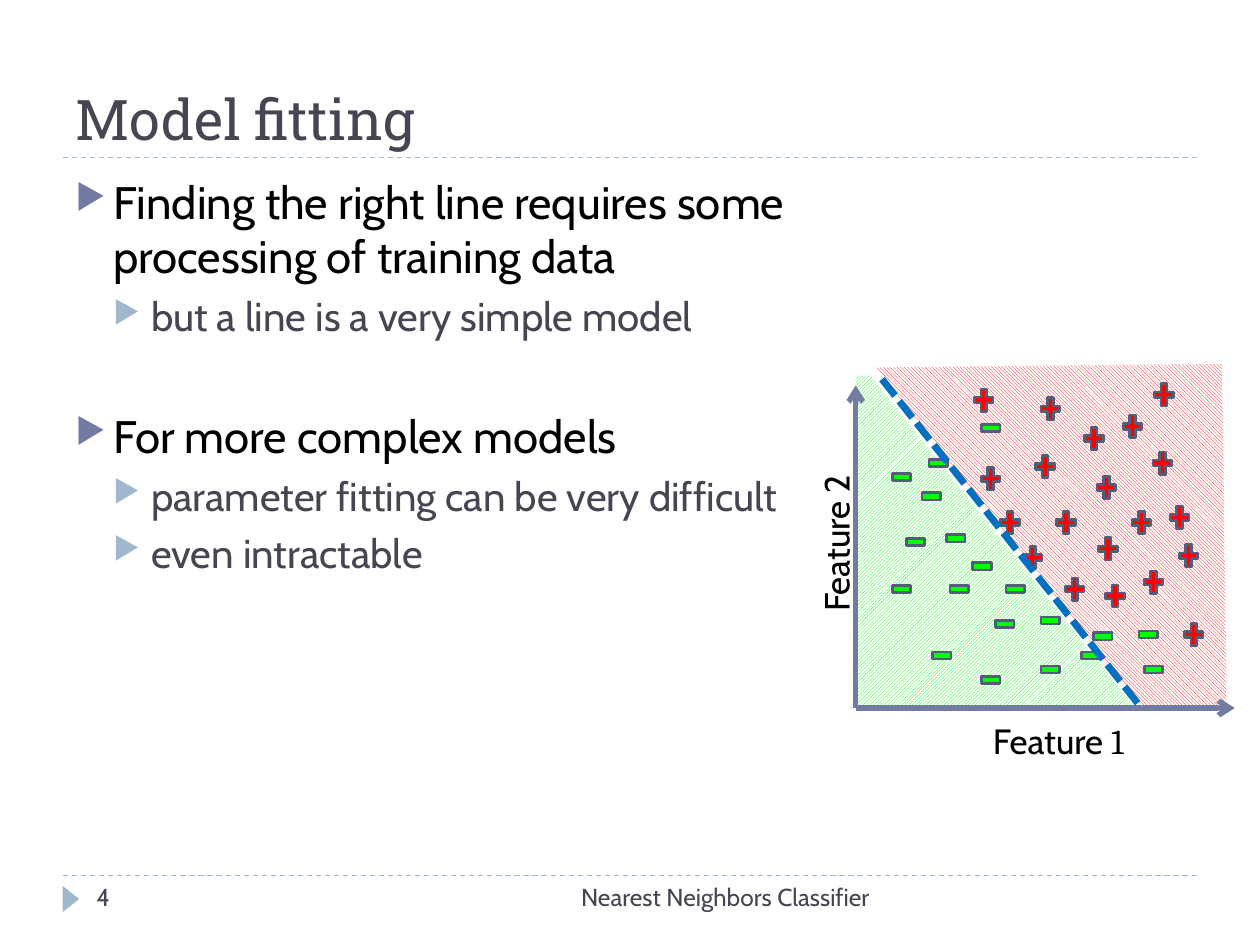
from lxml.etree import SubElement
from pptx import Presentation
from pptx.dml.color import RGBColor
from pptx.enum.dml import MSO_LINE, MSO_PATTERN
from pptx.enum.shapes import MSO_CONNECTOR, MSO_SHAPE
from pptx.enum.text import MSO_ANCHOR, PP_ALIGN
from pptx.oxml.ns import qn
from pptx.util import Pt

THEME = {
    "heading": "Roboto Slab", "body": "Cabin", "digit": "Cambria",
    "ink": "464653", "black": "000000", "white": "FFFFFF",
    "accent": "727CA3", "soft": "9FB8CD", "edge": "545C79",
    "red": "FF0000", "green": "00FF00", "boundary": "0070C0",
    "title": 32, "level0": 26, "level1": 23, "label": 20, "footer": 14,
}
LEVELS = [
    {"size": "level0", "color": "black", "bullet": "accent", "indent": 21.6},
    {"size": "level1", "color": "ink", "bullet": "soft", "indent": 43.2},
]
BULLETS = [
    (0, 6, "Finding the right line requires some processing of training data"),
    (1, 5, "but a line is a very simple model"),
    (0, 39, "For more complex models"),
    (1, 5, "parameter fitting can be very difficult"),
    (1, 5, "even intractable"),
]
LABELS = [
    ((36, 12, 648, 78), 0, PP_ALIGN.LEFT, MSO_ANCHOR.BOTTOM, "title", "ink",
     [("Model fitting", "heading")]),
    ((228, 500.4, 276, 28.8), 0, PP_ALIGN.RIGHT, MSO_ANCHOR.TOP, "footer", "ink",
     [("Nearest Neighbors Classifier", "body")]),
    ((48, 500.4, 156, 28.8), 0, PP_ALIGN.LEFT, MSO_ANCHOR.TOP, "footer", "ink",
     [("4", "body")]),
    ((504, 407.5, 201.6, 31.5), 0, PP_ALIGN.CENTER, MSO_ANCHOR.TOP, "label", "black",
     [("Feature ", "body"), ("1", "digit")]),
    ((359.6, 294.8, 236.2, 31.6), 270, PP_ALIGN.CENTER, MSO_ANCHOR.TOP, "label", "black",
     [("Feature 2", "body")]),
]
REGIONS = [
    ("green", MSO_PATTERN.LIGHT_UPWARD_DIAGONAL,
     [(497.5, 214.6), (650, 406), (490, 404), (489, 214.6)]),
    ("red", MSO_PATTERN.LIGHT_DOWNWARD_DIAGONAL,
     [(504.7, 215.3), (653, 404.6), (701, 404), (698.4, 208), (501, 210)]),
]
RULES = [((36, y), (684, y), "soft", 0.75, MSO_LINE.DASH, False) for y in (500.4, 90)]
ORIGIN = (489, 404.6)
AXES = [(ORIGIN, end, "accent", 3, None, True) for end in ((705.6, 404.6), (489, 220.3))]
BOUNDARY = ((504, 216.7), (652.3, 404.6), "boundary", 4, MSO_LINE.SQUARE_DOT, False)
MARK_SIZE = (14.4, 17.3)
MARKS = [
    (MSO_SHAPE.MATH_PLUS, "red", [
        (618, 242), (570, 290), (652, 324), (672, 309), (559, 265), (555, 220), (590, 258),
        (593, 225), (625, 270), (657, 256), (658, 217), (583, 310), (675, 354), (626, 305),
        (630, 332), (607, 328), (602, 290), (645, 290), (667, 287), (640, 235)]),
    (MSO_SHAPE.MATH_MINUS, "green", [
        (541, 328), (554, 315), (593, 346), (616, 366), (539, 299), (508, 264), (508, 328),
        (531, 366), (567, 348), (516, 301), (559, 236), (573, 328), (649, 354), (623, 355),
        (525, 275), (529, 256), (593, 374), (559, 380), (652, 374)]),
]


def rgb(name):
    return RGBColor.from_string(THEME[name])


def pts(values):
    return [Pt(v) for v in values]


def apply(obj, formats):
    for name, value in formats.items():
        setattr(obj, name, value)


def add_run(p, text, font, size, color):
    r = p.add_run()
    r.text = text
    apply(r.font, {"name": THEME[font], "size": Pt(THEME[size])})
    r.font.color.rgb = rgb(color)


def add_text(s, box, anchor=MSO_ANCHOR.TOP, rotation=0):
    sp = s.shapes.add_textbox(*pts(box))
    sp.rotation = rotation
    apply(sp.text_frame, {"word_wrap": True, "vertical_anchor": anchor})
    return sp.text_frame


def add_label(s, box, rotation, align, anchor, size, color, runs):
    p = add_text(s, box, anchor, rotation).paragraphs[0]
    p.alignment = align
    for text, font in runs:
        add_run(p, text, font, size, color)


def add_bullets(s, box):
    tf = add_text(s, box)
    for i, (level, before, text) in enumerate(BULLETS):
        style = LEVELS[level]
        p = tf.add_paragraph() if i else tf.paragraphs[0]
        apply(p, {"level": level, "space_before": Pt(before)})
        add_run(p, text, "body", style["size"], style["color"])
        pPr = p._p.get_or_add_pPr()
        pPr.set("marL", str(Pt(style["indent"])))
        pPr.set("indent", str(-Pt(21.6)))
        bu = SubElement(pPr, qn("a:buClr"))
        SubElement(bu, qn("a:srgbClr"), val=THEME[style["bullet"]])
        SubElement(pPr, qn("a:buSzPct"), val="76000")
        SubElement(pPr, qn("a:buChar"), char="▶")


def add_line(s, start, end, color, width, dash, arrow):
    cx = s.shapes.add_connector(MSO_CONNECTOR.STRAIGHT, *pts(start + end))
    cx.line.color.rgb = rgb(color)
    apply(cx.line, {"width": Pt(width), "dash_style": dash})
    if arrow:
        SubElement(cx.line._get_or_add_ln(), qn("a:tailEnd"), type="arrow")
    SubElement(cx._element.spPr, qn("a:effectLst"))


def add_region(s, color, pattern, points):
    start, *rest = [tuple(pts(point)) for point in points]
    builder = s.shapes.build_freeform(*start)
    builder.add_line_segments(rest, close=True)
    sp = builder.convert_to_shape()
    sp.shadow.inherit = False
    sp.fill.patterned()
    sp.fill.pattern = pattern
    sp.fill.fore_color.rgb = rgb(color)
    sp.fill.back_color.rgb = rgb("white")
    sp.line.fill.background()


def add_solid(s, kind, box, color, edge=None):
    sp = s.shapes.add_shape(kind, *pts(box))
    sp.shadow.inherit = False
    sp.fill.solid()
    sp.fill.fore_color.rgb = rgb(color)
    if edge:
        sp.line.color.rgb = rgb(edge)
        sp.line.width = Pt(1.5)
    else:
        sp.line.fill.background()
    return sp


def main():
    prs = Presentation()
    apply(prs, {"slide_width": Pt(720), "slide_height": Pt(540)})
    s = prs.slides.add_slide(prs.slide_layouts[6])
    for rule in RULES:
        add_line(s, *rule)
    add_solid(s, MSO_SHAPE.ISOSCELES_TRIANGLE, (33, 509, 15, 9.4), "soft").rotation = 90
    add_bullets(s, (36, 95.8, 435.6, 388.8))
    for region in REGIONS:
        add_region(s, *region)
    for axis in AXES:
        add_line(s, *axis)
    for label in LABELS:
        add_label(s, *label)
    for kind, color, corners in MARKS:
        for corner in corners:
            add_solid(s, kind, corner + MARK_SIZE, color, "edge")
    add_line(s, *BOUNDARY)
    prs.save("out.pptx")


if __name__ == "__main__":
    main()
